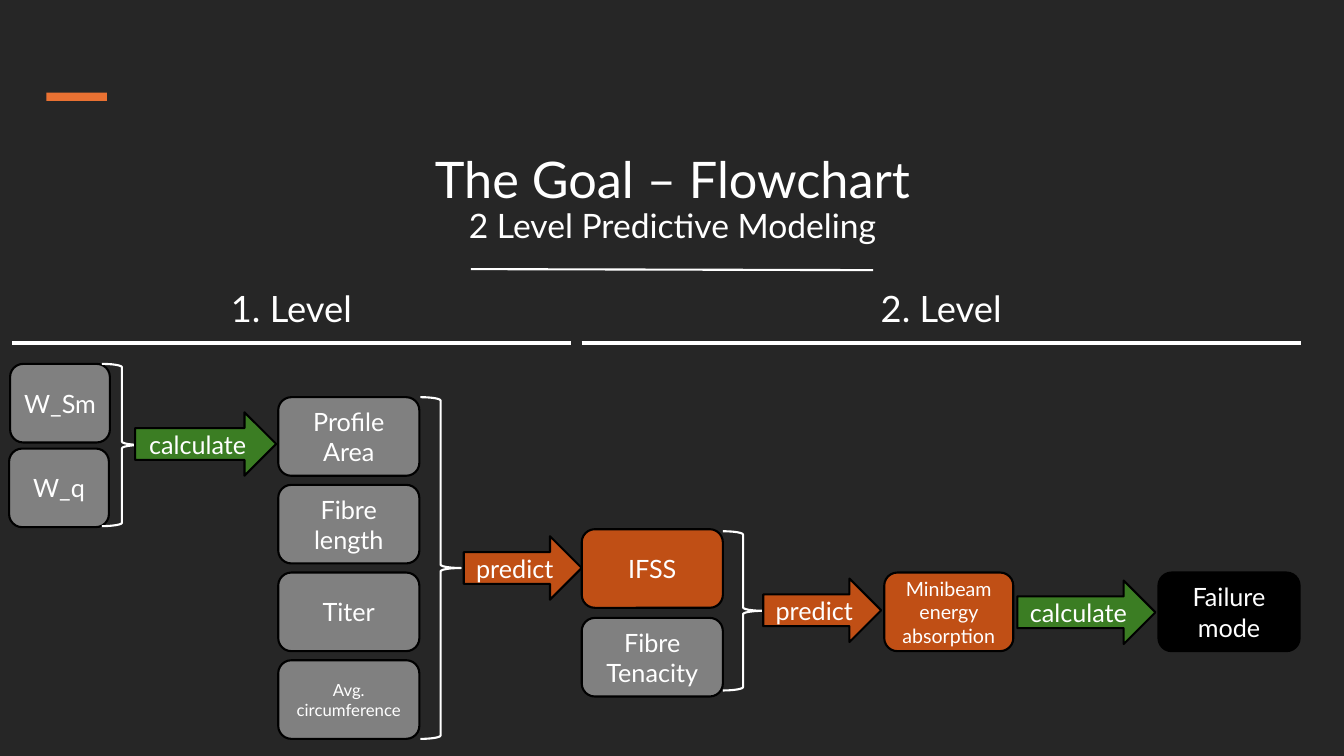
from lxml.etree import SubElement
from pptx import Presentation
from pptx.dml.color import RGBColor as RGB
from pptx.enum.shapes import MSO_CONNECTOR as LINK, MSO_SHAPE as SHAPE
from pptx.enum.text import MSO_ANCHOR as ANCHOR, PP_ALIGN as ALIGN
from pptx.oxml.ns import qn
from pptx.util import Inches, Pt

HUES = {
    "back": "262626", "white": "FFFFFF", "black": "000000", "accent": "E97132",
    "gray": "808080", "orange": "C04F15", "green": "3B7D23",
}
COLORS = {name: RGB.from_string(code) for name, code in HUES.items()}

deck = Presentation()
deck.slide_width, deck.slide_height = Inches(13.33), Inches(7.5)
slide = deck.slides.add_slide(deck.slide_layouts[6])
slide.background.fill.solid()
slide.background.fill.fore_color.rgb = COLORS["back"]


def style(para, size):
    para.alignment = ALIGN.CENTER
    para.font.name = "Lato"
    para.font.size = Pt(size)
    para.font.color.rgb = COLORS["white"]


def add_node(kind, x, y, wide, high, fill=None, line=None, text="", size=18):
    """Add a shape; without a fill or line name that part is left empty."""
    node = slide.shapes.add_shape(
        kind, Inches(x), Inches(y), Inches(wide), Inches(high))
    node.shadow.inherit = False
    if fill:
        node.fill.solid()
        node.fill.fore_color.rgb = COLORS[fill]
    else:
        node.fill.background()
    if line:
        node.line.color.rgb = COLORS[line]
        node.line.width = Pt(1.5)
    else:
        node.line.fill.background()
    if text:
        frame = node.text_frame
        frame.word_wrap = True
        frame.vertical_anchor = ANCHOR.MIDDLE
        frame.text = text
        style(frame.paragraphs[0], size)


# Title and accent bar
title = slide.shapes.add_textbox(
    Inches(2.66), Inches(1.26), Inches(8.02), Inches(1.23)).text_frame
title.word_wrap = True
title.vertical_anchor = ANCHOR.BOTTOM
para = title.paragraphs[0]
para.line_spacing = 0.9
style(para, 36)
para.add_run().text = "The Goal – Flowchart"
para.add_line_break()
sub = para.add_run()
sub.text = "2 Level Predictive Modeling"
sub.font.size = Pt(24)
add_node(SHAPE.RECTANGLE, 0.46, 0.92, 0.6, 0.08, "accent")

# Level headings
for text, x, wide in [("1. Level", 0.12, 5.54), ("2. Level", 5.77, 7.13)]:
    head = slide.shapes.add_textbox(
        Inches(x), Inches(2.87), Inches(wide), Inches(0.47)).text_frame
    head.word_wrap = True
    head.text = text
    head.paragraphs[0].line_spacing = 0.8
    style(head.paragraphs[0], 25.9)

# Rules under the title and the headings
for x1, y1, x2, y2, weight in [
    (4.67, 2.67, 8.66, 2.68, 1.5),
    (0.12, 3.4, 5.66, 3.4, 3),
    (5.77, 3.4, 12.9, 3.4, 3),
]:
    rule = slide.shapes.add_connector(
        LINK.STRAIGHT, Inches(x1), Inches(y1), Inches(x2), Inches(y2))
    rule.line.color.rgb = COLORS["white"]
    rule.line.width = Pt(weight)
    SubElement(rule._element.spPr, qn("a:effectLst"))

# Boxes
for text, x, y, wide, fill, size in [
    ("W_Sm", 0.1, 3.61, 0.99, "gray", 18),
    ("W_q", 0.09, 4.45, 0.99, "gray", 18),
    ("IFSS", 5.77, 5.25, 1.4, "orange", 18),
    ("Fibre Tenacity", 5.77, 6.13, 1.4, "gray", 18),
    ("Minibeam energy absorption", 8.77, 5.68, 1.28, "orange", 14),
    ("Failure mode", 11.49, 5.68, 1.4, "black", 18),
]:
    add_node(SHAPE.ROUNDED_RECTANGLE, x, y, wide, 0.78, fill, "black", text, size)

# Column of fibre inputs
inputs = [("Profile Area", 18), ("Fibre length", 18), ("Titer", 18),
          ("Avg. circumference", 12)]
for row, (text, size) in enumerate(inputs):
    add_node(SHAPE.ROUNDED_RECTANGLE, 2.76, 3.94 + 0.87 * row, 1.4, 0.78,
             "gray", "black", text, size)

# Braces
for x, y, high in [(1.01, 3.61, 1.61), (4.17, 3.94, 3.39), (7.17, 5.27, 1.58)]:
    add_node(SHAPE.RIGHT_BRACE, x, y, 0.4, high, line="white")

# Arrows
for text, x, y, wide, fill in [
    ("calculate", 1.34, 4.09, 1.4, "green"),
    ("predict", 4.6, 5.32, 1.17, "orange"),
    ("predict", 7.57, 5.74, 1.17, "orange"),
    ("calculate", 10.09, 5.76, 1.37, "green"),
]:
    add_node(SHAPE.RIGHT_ARROW, x, y, wide, 0.63, fill, "black", text)

deck.save("out.pptx")
